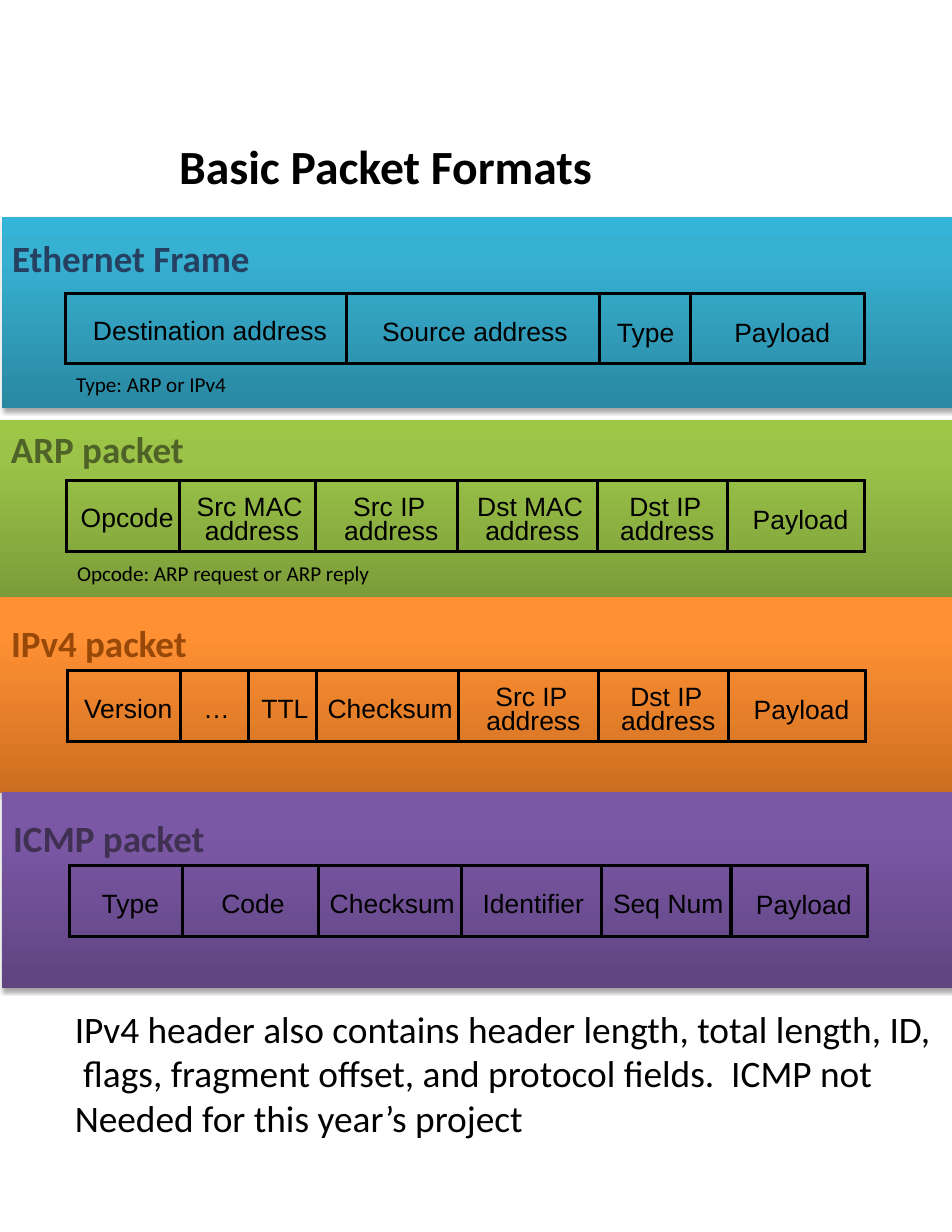
from copy import deepcopy

from lxml import etree
from pptx import Presentation
from pptx.dml.color import RGBColor
from pptx.enum.shapes import MSO_SHAPE
from pptx.enum.text import MSO_ANCHOR, MSO_AUTO_SIZE, PP_ALIGN
from pptx.oxml import parse_xml
from pptx.oxml.ns import nsdecls, qn
from pptx.util import Pt

RECTANGLE = MSO_SHAPE.RECTANGLE
MIDDLE = MSO_ANCHOR.MIDDLE
TOP = MSO_ANCHOR.TOP
GROW = MSO_AUTO_SIZE.SHAPE_TO_FIT_TEXT
LEFT = PP_ALIGN.LEFT
CENTER = PP_ALIGN.CENTER

BLACK = RGBColor(0x00, 0x00, 0x00)
NAVY = RGBColor(0x25, 0x40, 0x61)
OLIVE = RGBColor(0x4F, 0x62, 0x28)
BROWN = RGBColor(0x98, 0x48, 0x07)
PLUM = RGBColor(0x40, 0x31, 0x52)
BLUES = [RGBColor(0x2A, 0x88, 0xA2), RGBColor(0x37, 0xB1, 0xD2), RGBColor(0x34, 0xB4, 0xD6)]
GREENS = [RGBColor(0x77, 0x97, 0x37), RGBColor(0x9B, 0xC3, 0x48), RGBColor(0x9D, 0xC7, 0x46)]
ORANGES = [RGBColor(0xCC, 0x6E, 0x20), RGBColor(0xFF, 0x90, 0x34), RGBColor(0xFF, 0x91, 0x36)]
PURPLES = [RGBColor(0x5F, 0x44, 0x80), RGBColor(0x7B, 0x58, 0xA6), RGBColor(0x7C, 0x57, 0xA8)]

WIDTH, HEIGHT = 612, 792
ROW_HEIGHT = 45.4

FIRST_CELL = {"inset": 5.8, "margin": 5.8, "indent": 0, "spacing": 17.1, "before": 6.4}
INNER_CELL = {"inset": 7.9, "margin": 5.8, "indent": -2.9, "spacing": 15.5, "before": 9.5}
LAST_CELL = {"inset": 5.8, "margin": 5.8, "indent": 0, "spacing": None, "before": 6.4}
NARROW_CELL = {**LAST_CELL, "margin": 0.7}

SIX_COLUMNS = [72.7, 87.8, 91.4, 90, 83.5, 87.8]
SEVEN_COLUMNS = [72.7, 43.9, 43.9, 91.4, 90, 83.5, 87.8]

PACKETS = [
    {"name": "Ethernet Frame", "color": NAVY, "gradient": BLUES,
     "band": (1.4, 139.7, 122.4), "label": (0.7, 147.6, 169), "table": (41.8, 188.6),
     "columns": [180.7, 162.7, 59, 111.6],
     "fields": ["Destination address", "Source address", "Type", "Payload"],
     "styles": [FIRST_CELL, INNER_CELL, NARROW_CELL, LAST_CELL],
     "caption": ("Type: ARP or IPv4", 235.4, 112.3)},
    {"name": "ARP packet", "color": OLIVE, "gradient": GREENS,
     "band": (0, 270, 125.3), "label": (0, 270.7, 126.7), "table": (42.5, 308.9),
     "columns": SIX_COLUMNS,
     "fields": ["Opcode", "Src MAC address", "Src IP address", "Dst MAC address",
                "Dst IP address", "Payload"],
     "caption": ("Opcode: ARP request or ARP reply", 356.4, 204.5)},
    {"name": "IPv4 packet", "color": BROWN, "gradient": ORANGES,
     "band": (0, 383.8, 126), "label": (0, 395.3, 128.9), "table": (43.2, 431.3),
     "columns": SEVEN_COLUMNS,
     "fields": ["Version", "…", "TTL", "Checksum", "Src IP address", "Dst IP address",
                "Payload"]},
    {"name": "ICMP packet", "color": PLUM, "gradient": PURPLES,
     "band": (1.4, 509, 126), "label": (1.4, 520.6, 139), "table": (44.6, 556.6),
     "columns": SIX_COLUMNS,
     "fields": ["Type", "Code", "Checksum", "Identifier", "Seq Num", "Payload"]},
]

NOTE = [
    "IPv4 header also contains header length, total length, ID,",
    " flags, fragment offset, and protocol fields.  ICMP not",
    "Needed for this year’s project",
]


class PacketSlide:
    font = "Calibri"
    cell_font = "Arial"
    cell_size = 17
    border = 2.25

    def __init__(self, slide):
        self.slide = slide

    def add_run(self, paragraph, text, font, size, color, bold=False):
        run = paragraph.add_run()
        run.text = text
        run.font.name = font
        run.font.size = Pt(size)
        run.font.bold = bold
        run.font.color.rgb = color

    def add_lines(self, shape, lines, size, color, bold):
        frame = shape.text_frame
        frame.word_wrap = False
        frame.auto_size = GROW
        frame.vertical_anchor = TOP
        for index, line in enumerate(lines):
            paragraph = frame.add_paragraph() if index else frame.paragraphs[0]
            paragraph.alignment = LEFT
            self.add_run(paragraph, line, self.font, size, color, bold)

    def title(self, text, left, top, width, height):
        shape = self.slide.shapes.title
        shape.left, shape.top = Pt(left), Pt(top)
        shape.width, shape.height = Pt(width), Pt(height)
        self.add_lines(shape, [text], 30.6, BLACK, True)

    def text(self, lines, left, top, width, height, size, color=BLACK, bold=False):
        shape = self.slide.shapes.add_textbox(Pt(left), Pt(top), Pt(width), Pt(height))
        self.add_lines(shape, lines, size, color, bold)

    def band(self, left, top, height, colors):
        shape = self.slide.shapes.add_shape(
            RECTANGLE, Pt(left), Pt(top), Pt(WIDTH), Pt(height))
        shape.line.fill.background()
        shape.fill.gradient()
        shape.fill.gradient_angle = 90
        properties = shape._element.spPr
        stop_list = properties.find(".//" + qn("a:gsLst"))
        stop_list.insert(1, deepcopy(stop_list[0]))
        for stop, position, color in zip(shape.fill.gradient_stops, (0, 0.8, 1), colors):
            stop.position = position
            stop.color.rgb = color
        shape.shadow.inherit = False
        properties.find(qn("a:effectLst")).append(parse_xml(
            f'<a:outerShdw {nsdecls("a")} blurRad="{Pt(3.1)}" dist="{Pt(1.8)}" '
            'dir="5400000" rotWithShape="0"><a:srgbClr val="000000">'
            '<a:alpha val="35000"/></a:srgbClr></a:outerShdw>'))

    def outline(self, cell):
        properties = cell._tc.get_or_add_tcPr()
        for index, side in enumerate(("lnL", "lnR", "lnT", "lnB")):
            line = etree.Element(qn(f"a:{side}"), w=str(Pt(self.border)))
            fill = etree.SubElement(line, qn("a:solidFill"))
            etree.SubElement(fill, qn("a:srgbClr"), val=str(BLACK))
            properties.insert(index, line)

    def cell(self, cell, text, style):
        cell.fill.background()
        self.outline(cell)
        cell.vertical_anchor = MIDDLE
        cell.margin_left = cell.margin_right = cell.margin_bottom = 0
        cell.margin_top = Pt(style["inset"])
        paragraph = cell.text_frame.paragraphs[0]
        paragraph.alignment = CENTER
        paragraph.space_before = Pt(style["before"])
        if style["spacing"]:
            paragraph.line_spacing = Pt(style["spacing"])
        properties = paragraph._p.get_or_add_pPr()
        properties.set("marL", str(Pt(style["margin"])))
        properties.set("indent", str(Pt(style["indent"])))
        self.add_run(paragraph, text, self.cell_font, self.cell_size, BLACK)

    def table(self, left, top, columns, fields, styles):
        table = self.slide.shapes.add_table(
            1, len(columns), Pt(left), Pt(top), Pt(sum(columns)), Pt(ROW_HEIGHT)).table
        table.first_row = table.horz_banding = False
        for column, width in zip(table.columns, columns):
            column.width = Pt(width)
        for cell, field, style in zip(table.rows[0].cells, fields, styles):
            self.cell(cell, field, style)

    def packet(self, packet):
        fields = packet["fields"]
        inner_cells = [INNER_CELL] * (len(fields) - 2)
        styles = packet.get("styles", [FIRST_CELL, *inner_cells, LAST_CELL])
        self.band(*packet["band"], packet["gradient"])
        self.text([packet["name"]], *packet["label"], 36, 23.8, packet["color"], True)
        self.table(*packet["table"], packet["columns"], fields, styles)
        if "caption" in packet:
            text, top, width = packet["caption"]
            self.text([text], packet["table"][0], top, width, 23.8, 13.6)


def main():
    presentation = Presentation()
    presentation.slide_width, presentation.slide_height = Pt(WIDTH), Pt(HEIGHT)
    page = PacketSlide(presentation.slides.add_slide(presentation.slide_layouts[5]))
    page.title("Basic Packet Formats", 108, 84.2, 282.2, 44.6)
    for packet in PACKETS:
        page.packet(packet)
    page.text(NOTE, 41, 643, 569.5, 94.3, 24)
    presentation.save("out.pptx")


if __name__ == "__main__":
    main()
